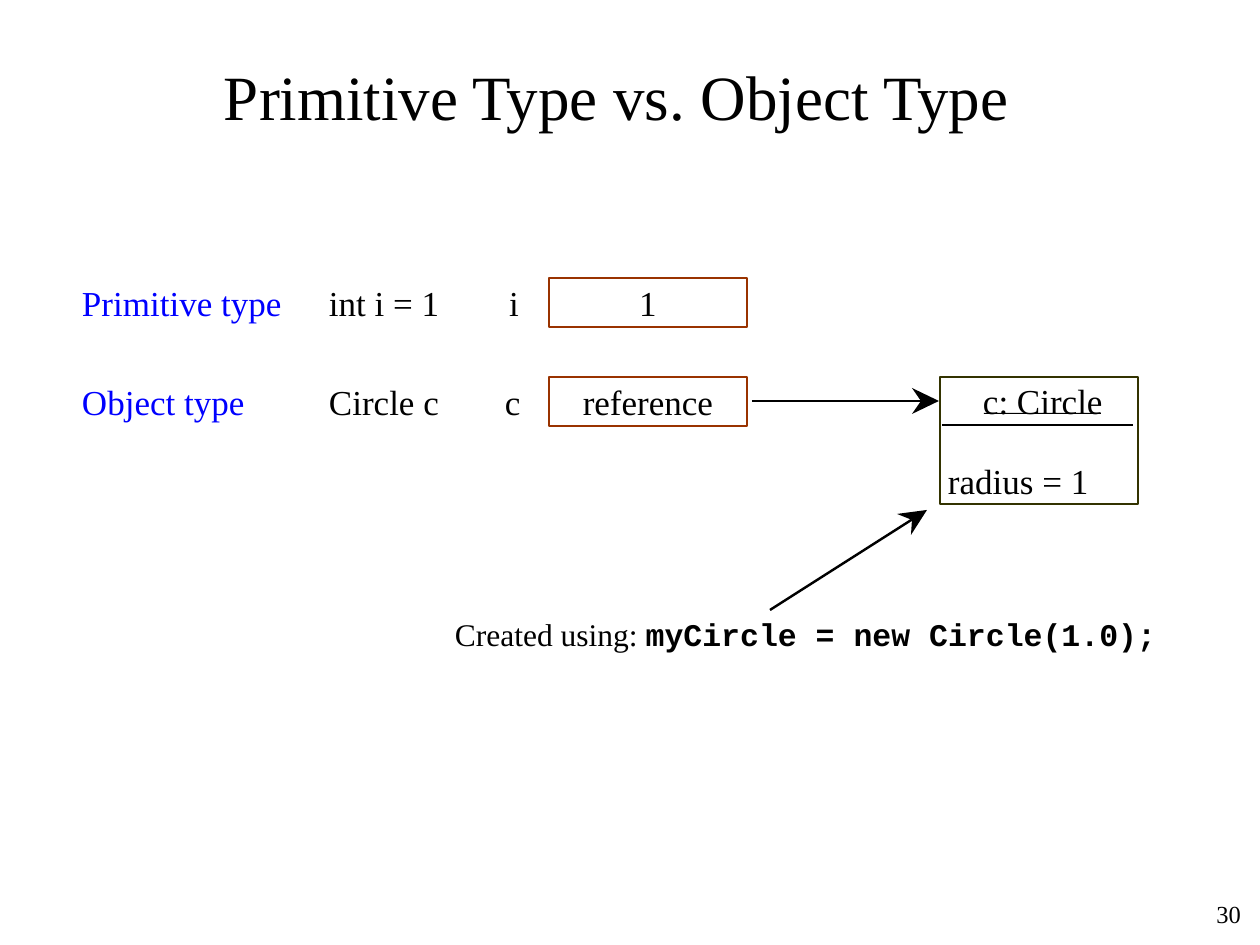
"""Build the slide comparing a primitive variable with an object reference."""
from dataclasses import dataclass
from math import hypot

from pptx import Presentation
from pptx import util as u
from pptx.dml.color import RGBColor
from pptx.enum import shapes, text
from pptx.oxml.ns import qn
from lxml import etree

EMU_PER_PX = 914400 / 126


@dataclass(frozen=True)
class Theme:
    serif: str = "Times New Roman"
    mono: str = "Courier New"
    black: str = "000000"
    white: str = "FFFFFF"
    blue: str = "0000FF"
    variable: str = "993300"
    instance: str = "333300"
    title: int = 36
    body: int = 20
    caption: int = 18
    number: int = 14
    line: float = 1.39


THEME = Theme()


@dataclass(frozen=True)
class Run:
    words: str
    size: int = THEME.body
    color: str = THEME.black
    font: str = THEME.serif
    bold: bool = False


@dataclass(frozen=True)
class Label:
    left: int
    top: int
    width: int
    runs: tuple[Run, ...]
    height: int = 42
    align: text.PP_ALIGN = text.PP_ALIGN.LEFT
    anchor: text.MSO_ANCHOR = text.MSO_ANCHOR.TOP


@dataclass(frozen=True)
class Box:
    left: int
    top: int
    width: int
    height: int
    fill: str
    border: str | None = None


@dataclass(frozen=True)
class Line:
    start: tuple[int, int]
    end: tuple[int, int]
    arrow: bool = False


def px(value: float) -> u.Emu:
    return u.Emu(round(value * EMU_PER_PX))


def set_format(target, values: dict) -> None:
    for name, value in values.items():
        setattr(target, name, value)


def paint(shape, fill: str, border: str | None = None) -> None:
    shape.shadow.inherit = False
    shape.fill.solid()
    shape.fill.fore_color.rgb = RGBColor.from_string(fill)
    if border is None:
        shape.line.fill.background()
    else:
        shape.line.color.rgb = RGBColor.from_string(border)
        shape.line.width = u.Pt(THEME.line)


def draw_label(slide, label: Label) -> None:
    bounds = map(px, (label.left, label.top, label.width, label.height))
    frame = slide.shapes.add_textbox(*bounds).text_frame
    margins = {f"margin_{side}": 0 for side in ("left", "top", "right", "bottom")}
    set_format(frame, {"word_wrap": True, "vertical_anchor": label.anchor, **margins})
    paragraph = frame.paragraphs[0]
    paragraph.alignment = label.align
    for item in label.runs:
        run = paragraph.add_run()
        run.text = item.words
        set_format(run.font, {"name": item.font, "size": u.Pt(item.size), "bold": item.bold})
        run.font.color.rgb = RGBColor.from_string(item.color)


def draw_box(slide, box: Box) -> None:
    bounds = map(px, (box.left, box.top, box.width, box.height))
    paint(slide.shapes.add_shape(shapes.MSO_SHAPE.RECTANGLE, *bounds), box.fill, box.border)


def draw_arrowhead(slide, line: Line) -> tuple[float, float]:
    """Draw a notched head at the end of a line and return its notch."""
    (x, y), (tip_x, tip_y) = line.start, line.end
    length = hypot(tip_x - x, tip_y - y)
    along_x, along_y = (tip_x - x) / length, (tip_y - y) / length

    def point(back: int, side: int) -> tuple[float, float]:
        return (tip_x - back * along_x - side * along_y, tip_y - back * along_y + side * along_x)

    notch = point(18, 0)
    builder = slide.shapes.build_freeform(tip_x, tip_y, scale=EMU_PER_PX)
    builder.add_line_segments([point(27, 13), notch, point(27, -13)], close=True)
    paint(builder.convert_to_shape(), THEME.black)
    return notch


def draw_line(slide, line: Line) -> None:
    end = draw_arrowhead(slide, line) if line.arrow else line.end
    ends = map(px, (*line.start, *end))
    connector = slide.shapes.add_connector(shapes.MSO_CONNECTOR.STRAIGHT, *ends)
    connector.line.color.rgb = RGBColor.from_string(THEME.black)
    connector.line.width = u.Pt(THEME.line)
    etree.SubElement(connector._element.spPr, qn("a:effectLst"))


ROWS = {
    278: ("Primitive type", "int i = 1", "i", 509, "1"),
    377: ("Object type", "Circle c", "c", 505, "reference"),
}
CREATION = (
    Run("Created using: ", THEME.caption),
    Run("myCircle = new Circle(1.0);", THEME.caption, font=THEME.mono, bold=True),
)
LABELS = (
    Label(32, 49, 1169, (Run("Primitive Type vs. Object Type", THEME.title),), 92,
          text.PP_ALIGN.CENTER, text.MSO_ANCHOR.MIDDLE),
    Label(992, 882, 249, (Run("30", THEME.number),), 63,
          text.PP_ALIGN.RIGHT, text.MSO_ANCHOR.MIDDLE),
    Label(983, 379, 130, (Run("c: Circle"),)),
    Label(948, 459, 150, (Run("radius = 1"),)),
    Label(455, 615, 746, CREATION, 38),
)
INSTANCE = Box(940, 377, 198, 127, THEME.white, THEME.instance)
NAME_UNDERLINE = Box(984, 413, 117, 1, THEME.black)
LINES = (
    Line((752, 401), (939, 401), arrow=True),
    Line((942, 425), (1133, 425)),
    Line((770, 610), (927, 510), arrow=True),
)


def draw_row(slide, top: int, kind: str, declaration: str, name: str,
             name_left: int, value: str) -> None:
    draw_box(slide, Box(549, top, 198, 49, THEME.white, THEME.variable))
    for label in (
        Label(82, top + 3, 220, (Run(kind, color=THEME.blue),)),
        Label(329, top + 3, 130, (Run(declaration),)),
        Label(name_left, top + 3, 30, (Run(name),)),
        Label(549, top + 3, 198, (Run(value),), align=text.PP_ALIGN.CENTER),
    ):
        draw_label(slide, label)


def main() -> None:
    presentation = Presentation()
    set_format(presentation, {"slide_width": u.Inches(10), "slide_height": u.Inches(7.5)})
    slide = presentation.slides.add_slide(presentation.slide_layouts[6])
    for top, row in ROWS.items():
        draw_row(slide, top, *row)
    for box in (INSTANCE, NAME_UNDERLINE):
        draw_box(slide, box)
    for label in LABELS:
        draw_label(slide, label)
    for line in LINES:
        draw_line(slide, line)
    presentation.save("out.pptx")


if __name__ == "__main__":
    main()
